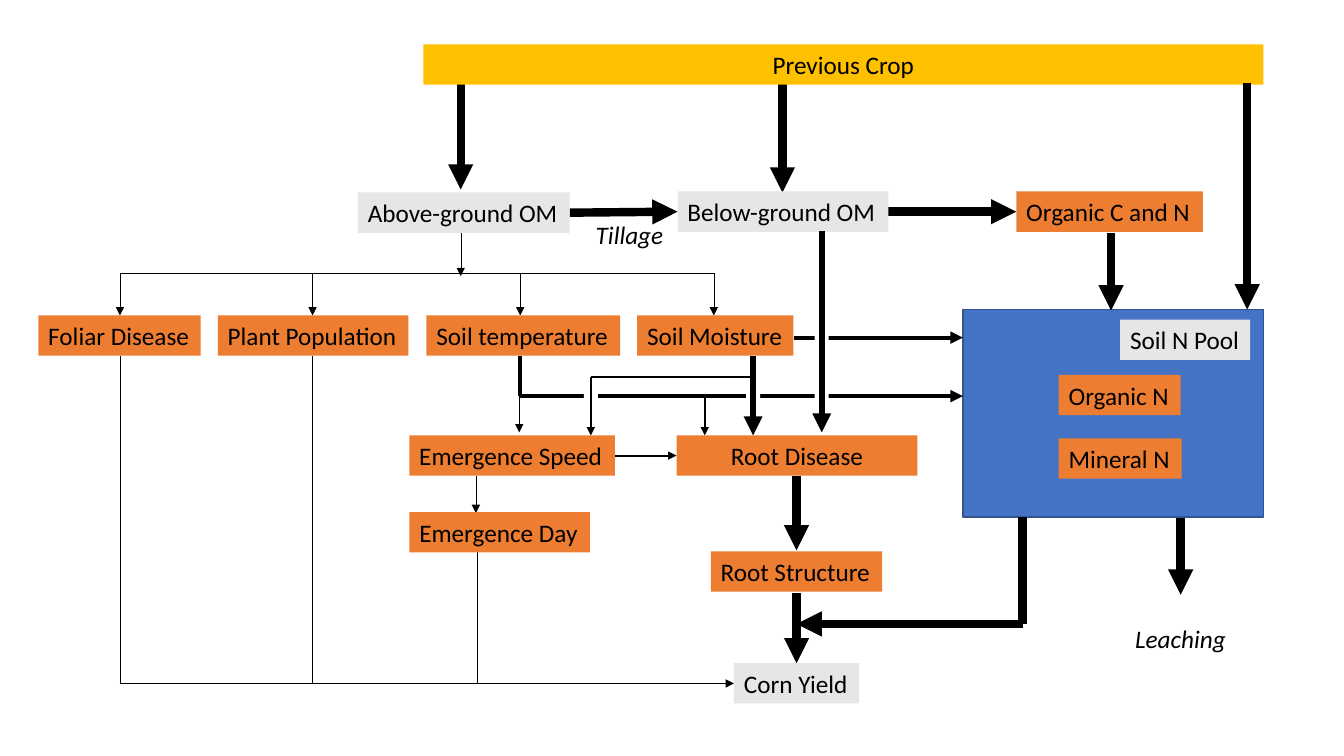
from lxml import etree
from pptx import Presentation
from pptx.dml.color import RGBColor
from pptx.enum.shapes import MSO_CONNECTOR, MSO_SHAPE
from pptx.enum.text import MSO_ANCHOR, MSO_AUTO_SIZE, PP_ALIGN
from pptx.oxml.ns import qn
from pptx.util import Inches, Pt

ORANGE, GREY, GOLD, BLUE = "ED7D31", "E7E6E6", "FFC000", "4472C4"
BLACK, WHITE, NAVY = "000000", "FFFFFF", "325491"
ROW_HEIGHT = 0.4
FACTOR_TOP, FACTOR_BOTTOM = 3.13, 3.53
BRANCH_Y, TEMPERATURE_Y, MOISTURE_Y, YIELD_Y = 2.71, 3.93, 3.74, 6.78

# text, left, top, width, fill
BOXES = [
    ("Above-ground OM", 3.55, 1.91, 2.1, GREY),
    ("Below-ground OM", 6.72, 1.9, 2.09, GREY),
    ("Organic C and N", 10.08, 1.9, 1.85, ORANGE),
    ("Foliar Disease", 0.38, FACTOR_TOP, 1.61, ORANGE),
    ("Plant Population", 2.16, FACTOR_TOP, 1.89, ORANGE),
    ("Soil temperature", 4.23, FACTOR_TOP, 1.92, ORANGE),
    ("Soil Moisture", 6.32, FACTOR_TOP, 1.55, ORANGE),
    ("Soil N Pool", 11.11, 3.17, 1.29, GREY),
    ("Organic N", 10.5, 3.72, 1.21, ORANGE),
    ("Mineral N", 10.5, 4.35, 1.22, ORANGE),
    ("Emergence Speed", 4.06, 4.32, 2.04, ORANGE),
    ("Emergence Day", 4.06, 5.08, 1.79, ORANGE),
    ("Root Structure", 7.05, 5.47, 1.7, ORANGE),
    ("Corn Yield", 7.28, 6.58, 1.24, GREY),
]
WIDE_BOXES = [
    ("Previous Crop", 4.2, 0.44, 8.33, GOLD),
    ("Root Disease", 6.71, 4.32, 2.39, ORANGE),
]
PROCESSES = [("Tillage", 5.81, 2.13, 0.88), ("Leaching", 11.16, 6.13, 1.11)]

# start x, start y, end x, end y, weight
ARROWS = [
    (4.57, 0.74, 4.57, 1.88, 6),
    (7.76, 0.82, 7.76, 1.91, 6),
    (5.65, 2.11, 6.72, 2.1, 6),
    (8.81, 2.1, 10.08, 2.1, 6),
    (11.02, 2.31, 11.02, 3.08, 6),
    (11.71, 5.14, 11.71, 5.9, 6),
    (7.9, 4.72, 7.9, 5.46, 6),
    (7.9, 5.88, 7.9, 6.58, 6),
    (10.15, 6.19, 7.9, 6.19, 6),
    (7.88, 3.35, 9.55, 3.35, 3),
    (5.16, TEMPERATURE_Y, 9.55, TEMPERATURE_Y, 3),
    (6.1, 4.52, 6.71, 4.52, 1.5),
    (5.15, 3.86, 5.15, 4.29, 0.5),
    (4.57, 2.3, 4.57, 2.74, 0.25),
    (4.72, 4.72, 4.72, 5.09, 0.25),
    (1.19, YIELD_Y, 7.28, YIELD_Y, 0.25),
] + [(x, BRANCH_Y, x, FACTOR_TOP, 0.25) for x in (1.19, 3.1, 5.16, 7.08)]
LINES = [
    (10.14, 5.13, 10.14, 6.19, 6),
    (5.16, FACTOR_BOTTOM, 5.16, TEMPERATURE_Y, 3),
    (1.2, BRANCH_Y, 7.08, BRANCH_Y, 0.25),
    (1.19, FACTOR_BOTTOM, 1.19, YIELD_Y, 0.25),
    (3.1, FACTOR_BOTTOM, 3.1, YIELD_Y, 0.25),
    (4.73, 5.48, 4.73, YIELD_Y, 0.25),
]
# white breaks where one arrow crosses over another
GAPS = [(7.4, 3.85), (8.08, 3.83), (8.08, 3.28), (5.79, 3.87)]
CROSSING_ARROWS = [
    (12.37, 0.82, 12.37, 3.07, 6),
    (7.47, FACTOR_BOTTOM, 7.47, 4.32, 4.5),
    (8.15, 2.29, 8.15, 4.29, 4.5),
    (6.99, 3.94, 6.99, 4.32, 1.5),
    (5.86, MOISTURE_Y, 5.86, 4.32, 1.5),
]


def color(hex_value):
    """Turn a hex string into a colour."""
    return RGBColor.from_string(hex_value)


def apply_format(target, values):
    """Set each attribute in values on target."""
    for name, value in values.items():
        setattr(target, name, value)


def write_text(box, text, wrap=False, centered=False, italic=False):
    """Put one formatted line of text in a box."""
    apply_format(box.text_frame, {
        "word_wrap": wrap,
        "auto_size": MSO_AUTO_SIZE.SHAPE_TO_FIT_TEXT,
        "vertical_anchor": MSO_ANCHOR.TOP,
    })
    para = box.text_frame.paragraphs[0]
    para.alignment = PP_ALIGN.CENTER if centered else PP_ALIGN.LEFT
    span = para.add_run()
    span.text = text
    apply_format(span.font, {"name": "Calibri", "size": Pt(18), "italic": italic})
    span.font.color.rgb = color(BLACK)


def add_panel(page, left, top, width, height, fill, outline=None):
    """Add a filled rectangle, outlined on request."""
    panel = page.shapes.add_shape(
        MSO_SHAPE.RECTANGLE, Inches(left), Inches(top), Inches(width), Inches(height))
    panel.shadow.inherit = False
    panel.fill.solid()
    panel.fill.fore_color.rgb = color(fill)
    if outline:
        panel.line.color.rgb = color(outline)
        panel.line.width = Pt(1)
    else:
        panel.line.fill.background()
    return panel


def add_box(page, text, left, top, width, fill, wide=False):
    """Add a labelled box; a wide one has centred text."""
    box = add_panel(page, left, top, width, ROW_HEIGHT, fill)
    write_text(box, text, wrap=wide, centered=wide)


def add_process(page, text, left, top, width):
    """Add an italic process name."""
    box = page.shapes.add_textbox(
        Inches(left), Inches(top), Inches(width), Inches(ROW_HEIGHT))
    write_text(box, text, italic=True)


def add_line(page, start_x, start_y, end_x, end_y, weight, arrow=False):
    """Add a straight black line, with an arrowhead on request."""
    line = page.shapes.add_connector(
        MSO_CONNECTOR.STRAIGHT,
        Inches(start_x), Inches(start_y), Inches(end_x), Inches(end_y))
    line.line.color.rgb = color(BLACK)
    line.line.width = Pt(weight)
    if arrow:
        outline = line.line._get_or_add_ln()
        etree.SubElement(outline, qn("a:tailEnd"), type="triangle")
    etree.SubElement(line._element.spPr, qn("a:effectLst"))


def main():
    """Build the crop yield diagram."""
    deck = Presentation()
    deck.slide_width, deck.slide_height = Inches(13.33), Inches(7.5)
    page = deck.slides.add_slide(deck.slide_layouts[6])
    add_panel(page, 9.55, 3.07, 2.98, 2.06, BLUE, outline=NAVY)
    for line in LINES:
        add_line(page, *line)
    for arrow in ARROWS:
        add_line(page, *arrow, arrow=True)
    for box in BOXES:
        add_box(page, *box)
    for box in WIDE_BOXES:
        add_box(page, *box, wide=True)
    for process in PROCESSES:
        add_process(page, *process)
    for left, top in GAPS:
        add_panel(page, left, top, 0.14, 0.16, WHITE)
    for arrow in CROSSING_ARROWS:
        add_line(page, *arrow, arrow=True)
    add_line(page, 5.86, MOISTURE_Y, 7.47, MOISTURE_Y, 1.5)
    deck.save("out.pptx")


main()
